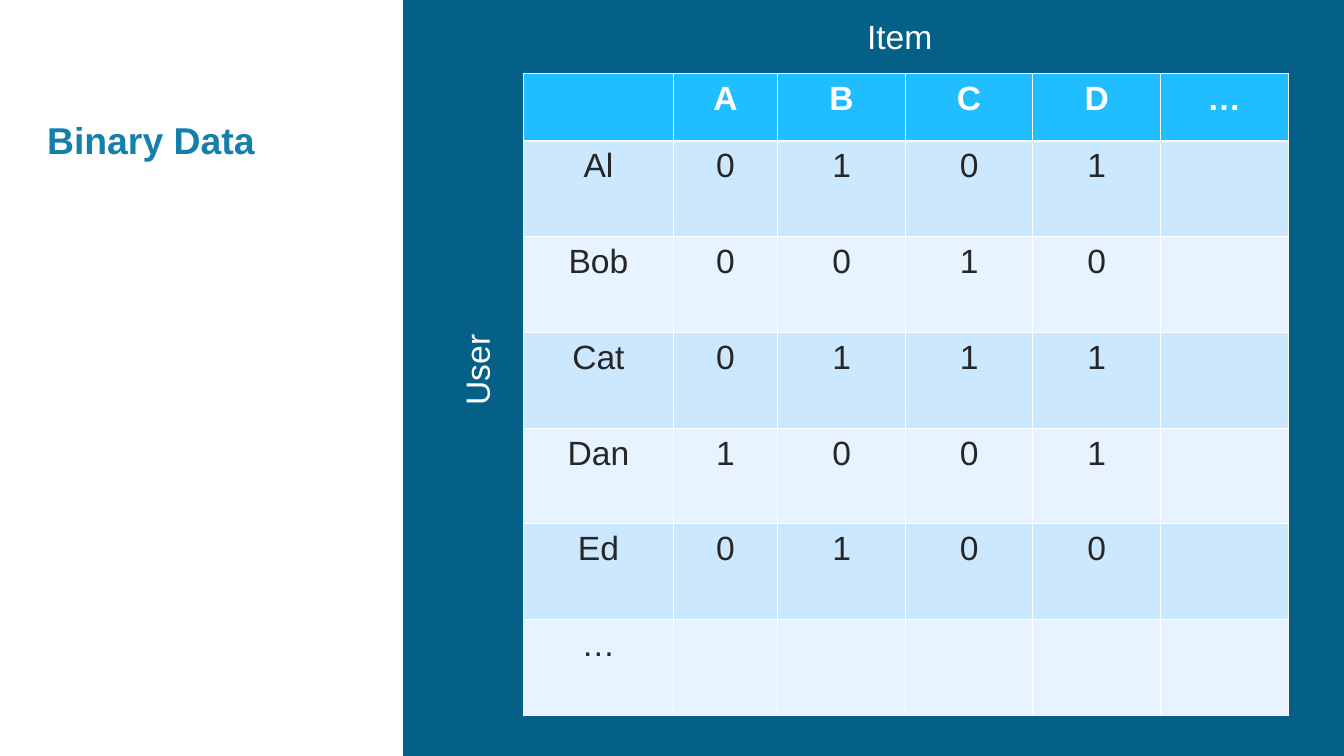
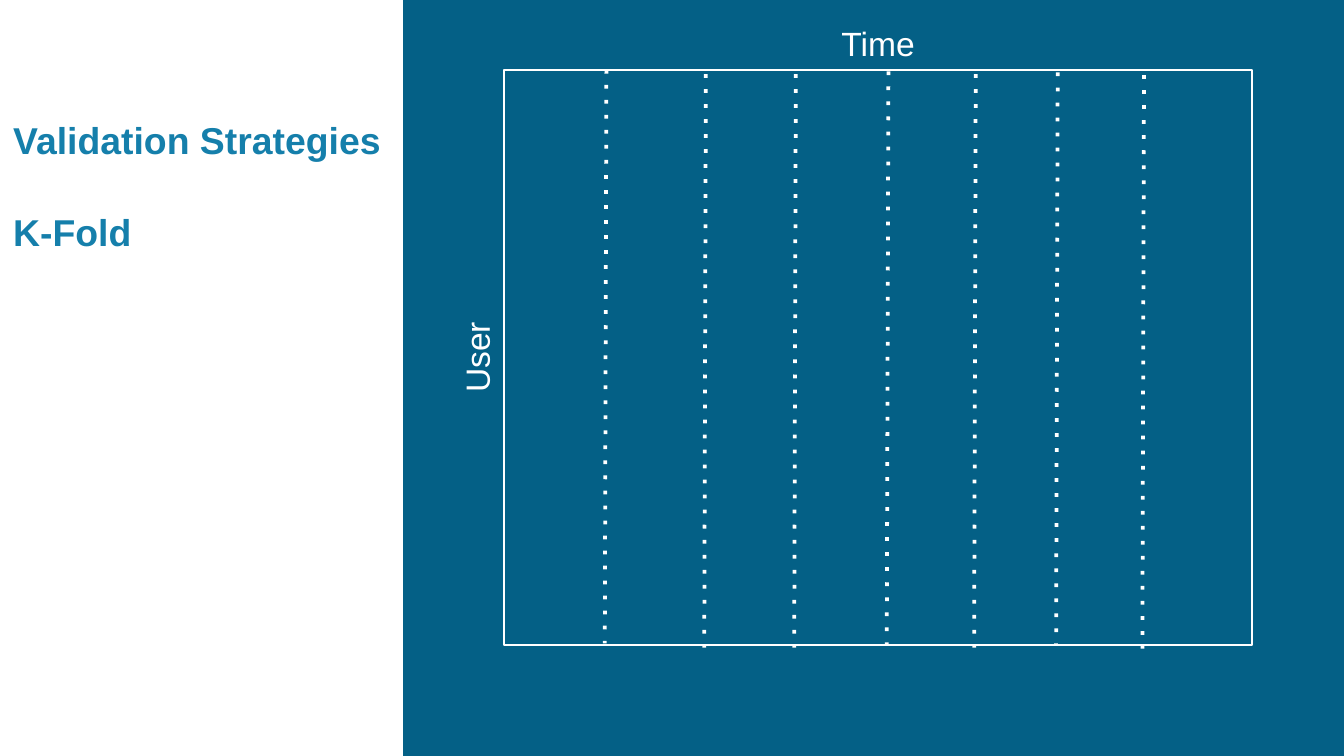
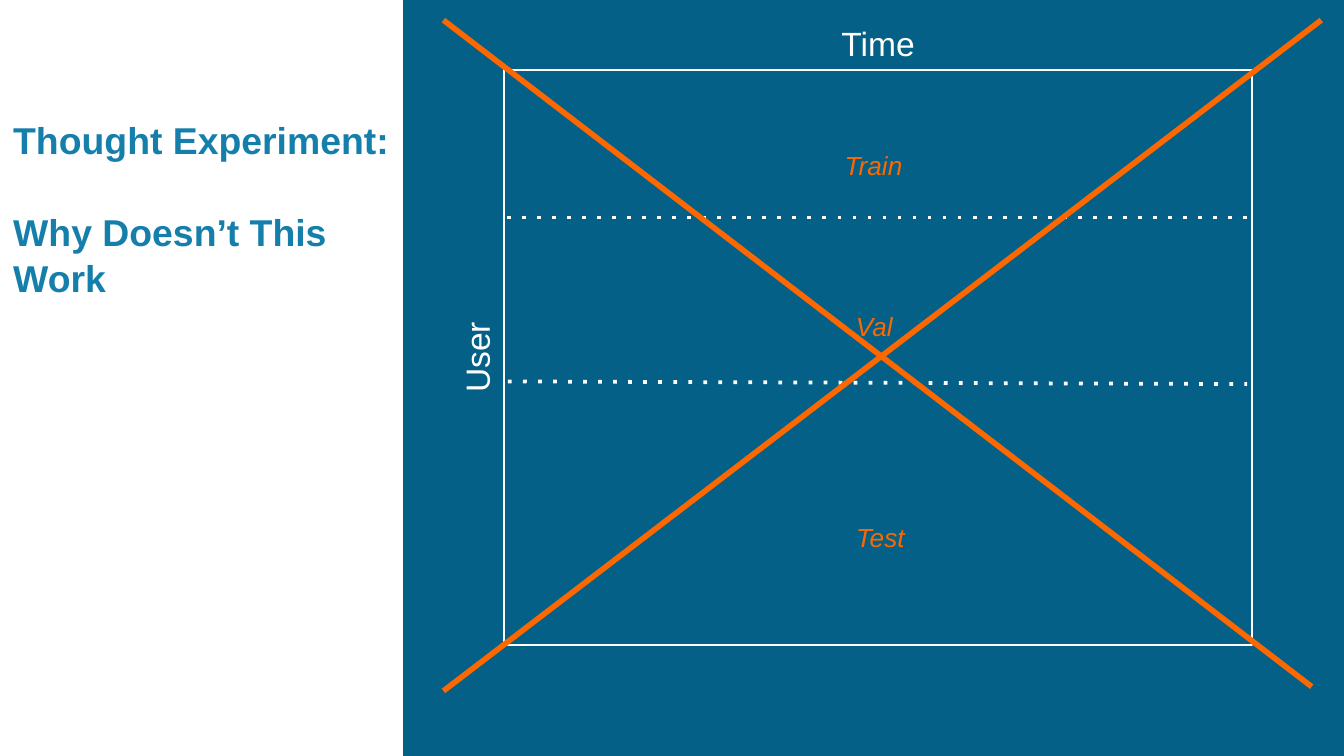
from dataclasses import dataclass

from lxml.etree import SubElement
from pptx import Presentation
from pptx.dml.color import RGBColor
from pptx.enum.shapes import MSO_CONNECTOR as CONN, MSO_SHAPE as SHAPE
from pptx.enum.text import MSO_ANCHOR as ANCHOR, PP_ALIGN as ALIGN
from pptx.oxml import parse_xml
from pptx.oxml.ns import nsdecls, qn
from pptx.util import Cm, Pt


@dataclass(frozen=True)
class Theme:
    font: str = "Arial"
    panel: str = "046086"
    title: str = "157FAB"
    white: str = "FFFFFF"
    ink: str = "262626"
    accent: str = "FD6700"
    header: str = "20BEFF"
    band_dark: str = "CCE8FF"
    band_light: str = "E7F4FF"
    title_size: int = 20
    body_size: int = 18
    note_size: int = 14
    thin: float = 0.45
    thick: float = 1.47


SLIDE_W, SLIDE_H = 25.4, 14.29
PANEL_X = 7.62
LABEL_H = 1.02
FRAME_X, FRAME_Y, FRAME_W, FRAME_H = 9.52, 1.32, 14.15, 10.87


def rgb(value):
    return RGBColor.from_string(value)


def write(tf, text, *, font, size, color, bold=False, italic=False,
          align=ALIGN.CENTER, line_spacing=None, gap=0):
    for i, line in enumerate(text.split("\n")):
        p = tf.add_paragraph() if i else tf.paragraphs[0]
        p.alignment = align
        if line_spacing:
            p.line_spacing = line_spacing
        if i and gap:
            p.space_before = Pt(gap)
        r = p.add_run()
        r.text = line
        r.font.name, r.font.size = font, Pt(size)
        r.font.bold, r.font.italic = bold, italic
        r.font.color.rgb = rgb(color)


class Deck:
    def __init__(self, theme):
        self.theme = theme
        self.prs = Presentation()
        self.prs.slide_width, self.prs.slide_height = Cm(SLIDE_W), Cm(SLIDE_H)
        self.slide = None

    def new_slide(self, title, left=0, width=PANEL_X, height=4.27):
        t = self.theme
        self.slide = self.prs.slides.add_slide(self.prs.slide_layouts[6])
        self.rect(PANEL_X, 0, SLIDE_W - PANEL_X, SLIDE_H, fill=t.panel)
        self.text(title, left, 2.06, width, height, size=t.title_size,
                  color=t.title, bold=True, align=ALIGN.LEFT,
                  line_spacing=1.04, gap=24)

    def rect(self, x, y, w, h, fill=None, line=None):
        sp = self.slide.shapes.add_shape(SHAPE.RECTANGLE, Cm(x), Cm(y), Cm(w), Cm(h))
        sp.shadow.inherit = False
        if fill:
            sp.fill.solid()
            sp.fill.fore_color.rgb = rgb(fill)
        else:
            sp.fill.background()
        if line:
            sp.line.color.rgb = rgb(line)
            sp.line.width = Pt(1)
        else:
            sp.line.fill.background()

    def text(self, text, x, y, w, h=LABEL_H, **fmt):
        sp = self.slide.shapes.add_textbox(Cm(x), Cm(y), Cm(w), Cm(h))
        tf = sp.text_frame
        tf.word_wrap = True
        tf.vertical_anchor = ANCHOR.TOP
        look = dict(font=self.theme.font, size=self.theme.body_size,
                    color=self.theme.white)
        write(tf, text, **{**look, **fmt})
        return sp

    def side_label(self, text, right, middle, length):
        x = right - (LABEL_H + length) / 2
        sp = self.text(text, x, middle - LABEL_H / 2, length)
        sp.rotation = 270

    def note(self, text, x, y, w):
        self.text(text, x, y, w, 0.86, size=self.theme.note_size,
                  color=self.theme.accent, italic=True)

    def line(self, x1, y1, x2, y2, color, width, dash=None):
        sp = self.slide.shapes.add_connector(CONN.STRAIGHT, Cm(x1), Cm(y1), Cm(x2), Cm(y2))
        sp.line.color.rgb = rgb(color)
        sp.line.width = Pt(width)
        spPr = sp._element.spPr
        if dash:
            SubElement(spPr.find(qn("a:ln")), qn("a:prstDash")).set("val", dash)
        SubElement(spPr, qn("a:effectLst"))

    def dotted(self, *ends):
        self.line(*ends, color=self.theme.white, width=2, dash="dot")

    def cross(self, *ends):
        self.line(*ends, color=self.theme.accent, width=3)

    def borders(self, cell, **widths):
        tcPr = cell._tc.get_or_add_tcPr()
        for i, side in enumerate("LRTB"):
            width = Pt(widths.get(side, self.theme.thin))
            tcPr.insert(i, parse_xml(
                f'<a:ln{side} {nsdecls("a")} w="{width}"><a:solidFill>'
                f'<a:srgbClr val="{self.theme.white}"/></a:solidFill></a:ln{side}>'))

    def table(self, rows, x, y, col_widths, row_heights):
        t = self.theme
        tbl = self.slide.shapes.add_table(
            len(rows), len(col_widths), Cm(x), Cm(y),
            Cm(sum(col_widths)), Cm(sum(row_heights))).table
        for col, w in zip(tbl.columns, col_widths):
            col.width = Cm(w)
        for i, (row, values) in enumerate(zip(tbl.rows, rows)):
            row.height = Cm(row_heights[i])
            fill = (t.band_dark if i % 2 else t.band_light) if i else t.header
            edges = {0: {"B": t.thick}, 1: {"T": t.thick}}.get(i, {})
            for cell, value in zip(row.cells, values):
                cell.fill.solid()
                cell.fill.fore_color.rgb = rgb(fill)
                self.borders(cell, **edges)
                if value:
                    write(cell.text_frame, value, font=t.font, size=t.body_size,
                          color=t.ink if i else t.white, bold=i == 0)

    def time_frame(self):
        self.rect(FRAME_X, FRAME_Y, FRAME_W, FRAME_H, line=self.theme.white)
        self.text("Time", FRAME_X, FRAME_Y - LABEL_H, FRAME_W)
        self.side_label("User", FRAME_X, FRAME_Y + FRAME_H / 2, FRAME_H)


def binary_data(deck):
    deck.new_slide("Binary Data", left=0.64, width=5.21, height=2.51)
    ratings = [("Al", "0101"), ("Bob", "0010"), ("Cat", "0111"),
               ("Dan", "1001"), ("Ed", "0100")]
    rows = [["", *"ABCD", "…"],
            *([user, *bits, ""] for user, bits in ratings),
            ["…"] + [""] * 5]
    deck.table(rows, 9.9, 1.39, [2.82, 1.98] + [2.41] * 4, [1.27] + [1.81] * 6)
    deck.side_label("User", FRAME_X, 6.99, 11.3)
    deck.text("Item", 9.65, 0.18, 14.71)


def k_fold(deck):
    deck.new_slide("Validation Strategies\nK-Fold")
    deck.time_frame()
    folds = [(11.46, 1.32), (13.34, 1.4), (15.04, 1.4), (16.79, 1.35),
             (18.44, 1.4), (19.99, 1.37), (21.62, 1.42)]
    for x, top in folds:
        deck.dotted(x, top, x - 0.03, top + 10.84)


def thought_experiment(deck):
    deck.new_slide("Thought Experiment:\nWhy Doesn’t This Work", width=7.75)
    deck.time_frame()
    deck.dotted(9.58, 4.11, 23.67, 4.11)
    deck.dotted(9.6, 7.21, 23.57, 7.26)
    deck.note("Train", 15.19, 2.69, 2.64)
    deck.note("Val", 15.52, 5.74, 2.01)
    deck.note("Test", 15.75, 9.73, 1.78)
    deck.cross(8.38, 0.38, 24.79, 12.98)
    deck.cross(8.38, 13.06, 24.97, 0.38)


def main():
    deck = Deck(Theme())
    for build in (binary_data, k_fold, thought_experiment):
        build(deck)
    deck.prs.save("out.pptx")


if __name__ == "__main__":
    main()
